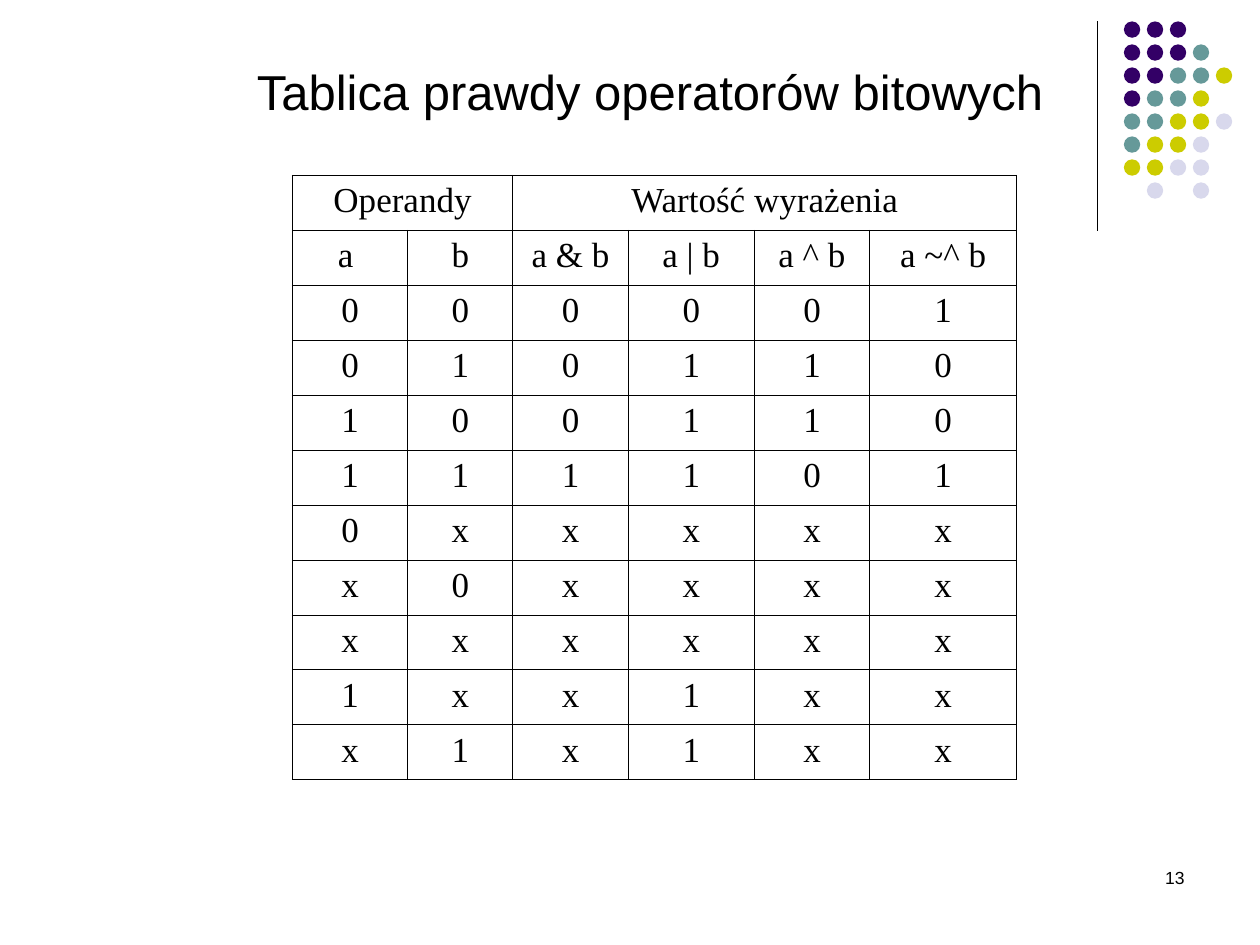
"""Build a slide with the truth table of the bitwise operators."""
from lxml.etree import SubElement
from pptx import Presentation
from pptx.dml.color import RGBColor
from pptx.enum.shapes import MSO_CONNECTOR, MSO_SHAPE
from pptx.enum.text import MSO_ANCHOR, MSO_AUTO_SIZE, PP_ALIGN
from pptx.oxml.ns import qn
from pptx.util import Inches, Pt

BLACK = RGBColor(0x00, 0x00, 0x00)
DOT_COLORS = {
    "P": RGBColor(0x33, 0x00, 0x66),
    "T": RGBColor(0x66, 0x99, 0x99),
    "Y": RGBColor(0xCC, 0xCC, 0x00),
    "L": RGBColor(0xD8, 0xD8, 0xEC),
}
DOTS = ["PPP", "PPPT", "PPTTY", "PTTY", "TTYYL", "TYYL", "YYLL", ".L.L"]
COLUMNS = [11, 10, 11, 12, 11, 14]
ROWS = [
    ["Operandy", "", "Wartość wyrażenia", "", "", ""],
    ["a ", "b", "a & b", "a | b", "a ^ b", "a ~^ b"],
    *map(list, ["000001", "010110", "100110", "111101", "0xxxxx",
                "x0xxxx", "xxxxxx", "1xx1xx", "x1x1xx"]),
]


def add_run(p, text, size, font, align):
    p.alignment = align
    r = p.add_run()
    r.text = text
    r.font.size = Pt(size)
    r.font.name = font
    r.font.color.rgb = BLACK


def add_borders(cell):
    tc_pr = cell._tc.get_or_add_tcPr()
    for side in ("lnL", "lnR", "lnT", "lnB"):
        ln = SubElement(tc_pr, qn(f"a:{side}"), w=str(Pt(0.45)))
        fill = SubElement(ln, qn("a:solidFill"))
        SubElement(fill, qn("a:srgbClr"), val=str(BLACK))


prs = Presentation()
W = prs.slide_width = Inches(10)
H = prs.slide_height = Inches(7.5)
s = prs.slides.add_slide(prs.slide_layouts[6])

line_x = int(W * 0.871)
rule = s.shapes.add_connector(MSO_CONNECTOR.STRAIGHT, line_x, Inches(0.17), line_x, Inches(1.83))
rule.line.color.rgb = BLACK
rule.line.width = Pt(0.75)
SubElement(rule._element.spPr, qn("a:effectLst"))

pitch = Inches(0.73) / 4
dot_size = Inches(0.13)
dots = s.shapes.add_group_shape()
for row, pattern in enumerate(DOTS):
    for col, key in enumerate(pattern):
        if key in DOT_COLORS:
            sp = dots.shapes.add_shape(
                MSO_SHAPE.OVAL, int(Inches(8.92) + col * pitch),
                int(Inches(0.17) + row * pitch), dot_size, dot_size)
            sp.shadow.inherit = False
            sp.fill.solid()
            sp.fill.fore_color.rgb = DOT_COLORS[key]
            sp.line.fill.background()

number = s.shapes.add_textbox(Inches(7.17), Inches(6.83), Inches(2.33), Inches(0.5))
tf = number.text_frame
tf.word_wrap = True
add_run(tf.paragraphs[0], "13", 10, "Arial", PP_ALIGN.RIGHT)

title = s.shapes.add_textbox(Inches(1.94), Inches(0.44), Inches(6.48), Inches(0.57))
tf = title.text_frame
tf.word_wrap = False
tf.auto_size = MSO_AUTO_SIZE.SHAPE_TO_FIT_TEXT
tf.vertical_anchor = MSO_ANCHOR.MIDDLE
add_run(tf.paragraphs[0], "Tablica prawdy operatorów bitowych", 28, "Arial", PP_ALIGN.LEFT)

column_unit = Inches(1) // 12
table = s.shapes.add_table(
    len(ROWS), len(COLUMNS), Inches(2.32), Inches(1.39),
    column_unit * sum(COLUMNS), Inches(4.8)).table
table.first_row = False
table.horz_banding = False
for column, units in zip(table.columns, COLUMNS):
    column.width = column_unit * units
table.cell(0, 0).merge(table.cell(0, 1))
table.cell(0, 2).merge(table.cell(0, 5))
for row, texts in enumerate(ROWS):
    for col, text in enumerate(texts):
        cell = table.cell(row, col)
        add_borders(cell)
        cell.fill.background()
        if text:
            add_run(cell.text_frame.paragraphs[0], text, 20, "Times New Roman", PP_ALIGN.CENTER)

prs.save("out.pptx")
